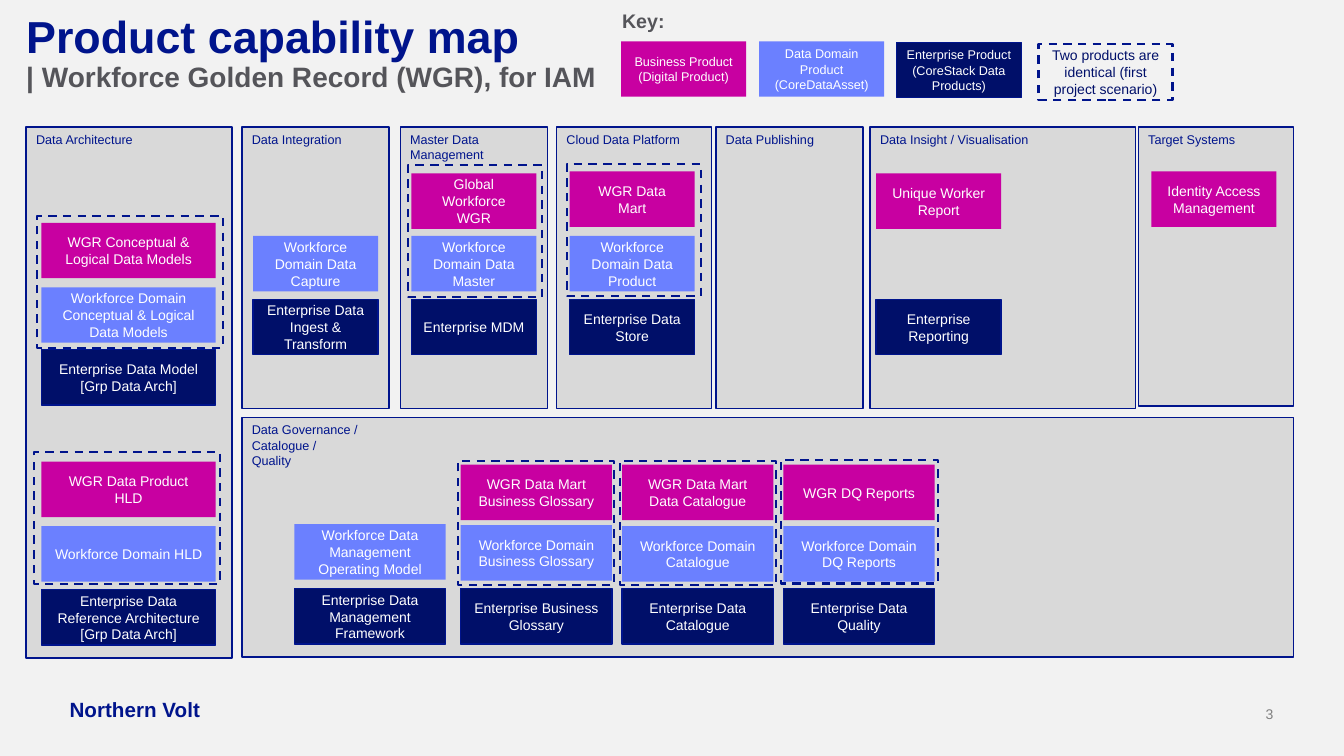
from pptx import Presentation
from pptx.dml.color import RGBColor
from pptx.enum.dml import MSO_LINE
from pptx.enum.shapes import MSO_SHAPE
from pptx.enum.text import MSO_ANCHOR, MSO_AUTO_SIZE, PP_ALIGN
from pptx.util import Inches, Pt

RECTANGLE = MSO_SHAPE.RECTANGLE
DASH = MSO_LINE.DASH
TOP, MIDDLE, BOTTOM = MSO_ANCHOR.TOP, MSO_ANCHOR.MIDDLE, MSO_ANCHOR.BOTTOM
LEFT, CENTER, RIGHT = PP_ALIGN.LEFT, PP_ALIGN.CENTER, PP_ALIGN.RIGHT
NO_FIT = MSO_AUTO_SIZE.NONE

FONT = "Arial"
COLOURS = {
    "page": "F2F2F2", "panel": "D9D9D9", "blue": "00148C", "grey": "55555A",
    "number": "808080", "white": "FFFFFF",
    "business": "C800A1", "domain": "6B80FF", "enterprise": "000F69",
}
TILE_HEIGHT = 0.55
TILE_WIDTH, MODEL_WIDTH, GOVERNANCE_WIDTH = 1.24, 1.73, 1.5
WIDE_INSETS, PLAIN_INSETS, NO_INSETS = (0.13, 0.07), (0.1, 0.05), (0, 0)

# text, left, top, width, height
PANELS = [
    ("Data Integration", 2.4, 1.26, 1.46, 2.79),
    ("Master Data Management", 3.97, 1.26, 1.46, 2.79),
    ("Cloud Data Platform", 5.52, 1.26, 1.54, 2.79),
    ("Data Publishing", 7.1, 1.26, 1.46, 2.79),
    ("Data Insight / Visualisation", 8.63, 1.26, 2.63, 2.79),
    ("Target Systems", 11.29, 1.26, 1.54, 2.77),
    ("Data Architecture", 0.26, 1.26, 2.04, 5.27),
    ("Data Governance /\nCatalogue /\nQuality", 2.4, 4.14, 10.43, 2.38),
]

KEY_TILES = [
    ("business", 6.16, 0.41, "Business Product\n(Digital Product)"),
    ("domain", 7.53, 0.41, "Data Domain Product (CoreDataAsset)"),
    ("enterprise", 8.89, 0.42, "Enterprise Product (CoreStack Data Products)"),
]

# left, width, then kind, top and text of each tile
STACKS = [
    (0.41, MODEL_WIDTH, [
        ("business", 2.21, "WGR Conceptual & Logical Data Models"),
        ("domain", 2.85, "Workforce Domain Conceptual & Logical Data Models"),
        ("enterprise", 3.47, "Enterprise Data Model\n[Grp Data Arch]"),
        ("business", 4.58, "WGR Data Product HLD"),
        ("domain", 5.22, "Workforce Domain HLD"),
        ("enterprise", 5.85, "Enterprise Data Reference Architecture [Grp Data Arch]"),
    ]),
    (2.51, TILE_WIDTH, [
        ("domain", 2.34, "Workforce Domain Data Capture"),
        ("enterprise", 2.97, "Enterprise Data Ingest & Transform"),
    ]),
    (4.08, TILE_WIDTH, [
        ("business", 1.72, "Global Workforce WGR"),
        ("domain", 2.34, "Workforce Domain Data Master"),
        ("enterprise", 2.97, "Enterprise MDM"),
    ]),
    (5.65, TILE_WIDTH, [
        ("business", 1.7, "WGR Data Mart"),
        ("domain", 2.34, "Workforce Domain Data Product"),
        ("enterprise", 2.97, "Enterprise Data Store"),
    ]),
    (8.69, TILE_WIDTH, [
        ("business", 1.72, "Unique Worker Report"),
        ("enterprise", 2.97, "Enterprise Reporting"),
    ]),
    (11.42, TILE_WIDTH, [
        ("business", 1.7, "Identity Access Management"),
    ]),
    (2.92, GOVERNANCE_WIDTH, [
        ("domain", 5.2, "Workforce Data Management Operating Model"),
        ("enterprise", 5.84, "Enterprise Data Management Framework"),
    ]),
    (4.57, GOVERNANCE_WIDTH, [
        ("business", 4.61, "WGR Data Mart Business Glossary"),
        ("domain", 5.21, "Workforce Domain Business Glossary"),
        ("enterprise", 5.84, "Enterprise Business Glossary"),
    ]),
    (6.17, GOVERNANCE_WIDTH, [
        ("business", 4.61, "WGR Data Mart Data Catalogue"),
        ("domain", 5.22, "Workforce Domain Catalogue"),
        ("enterprise", 5.84, "Enterprise Data Catalogue"),
    ]),
    (7.77, GOVERNANCE_WIDTH, [
        ("business", 4.61, "WGR DQ Reports"),
        ("domain", 5.22, "Workforce Domain DQ Reports"),
        ("enterprise", 5.84, "Enterprise Data Quality"),
    ]),
]

# left, top, width, height
IDENTICAL_FRAMES = [
    (4.05, 1.64, 1.33, 1.31), (5.62, 1.63, 1.33, 1.31),
    (0.37, 2.14, 1.84, 1.31), (0.34, 4.48, 1.84, 1.31),
    (4.54, 4.57, 1.55, 1.23), (6.15, 4.57, 1.55, 1.23), (7.75, 4.56, 1.55, 1.23),
]


def colour(name):
    return RGBColor.from_string(COLOURS[name])


def add_span(para, text, size, ink, bold=False):
    span = para.add_run()
    span.text = text
    span.font.name = FONT
    span.font.size = Pt(size)
    span.font.bold = bold
    span.font.color.rgb = colour(ink)


def set_frame(frame, anchor, insets):
    frame.word_wrap = True
    frame.auto_size = NO_FIT
    frame.vertical_anchor = anchor
    frame.margin_left = frame.margin_right = Inches(insets[0])
    frame.margin_top = frame.margin_bottom = Inches(insets[1])


def write(shape, text, size, ink, align=CENTER, anchor=MIDDLE, insets=PLAIN_INSETS, bold=False):
    """Fill a shape with one paragraph for each line of the text."""
    frame = shape.text_frame
    set_frame(frame, anchor, insets)
    for index, line in enumerate(text.split("\n")):
        para = frame.add_paragraph() if index else frame.paragraphs[0]
        para.alignment = align
        add_span(para, line, size, ink, bold)


def add_box(page, left, top, width, height, fill=None, line_width=None):
    box = page.shapes.add_shape(RECTANGLE, Inches(left), Inches(top), Inches(width), Inches(height))
    box.shadow.inherit = False
    if fill:
        box.fill.solid()
        box.fill.fore_color.rgb = colour(fill)
    else:
        box.fill.background()
    if line_width:
        box.line.color.rgb = colour("blue")
        box.line.width = Pt(line_width)
    else:
        box.line.fill.background()
    return box


def add_panel(page, text, left, top, width, height):
    panel = add_box(page, left, top, width, height, "panel", 1)
    write(panel, text, 9, "blue", LEFT, TOP)


def add_tile(page, kind, left, top, width, text, size=10):
    outlined = kind == "enterprise"
    tile = add_box(page, left, top, width, TILE_HEIGHT, kind, 1 if outlined else None)
    write(tile, text, size, "white", insets=PLAIN_INSETS if outlined else WIDE_INSETS)


def add_identical_frame(page, left, top, width, height):
    frame = add_box(page, left, top, width, height, line_width=1.5)
    frame.line.dash_style = DASH
    return frame


def add_label(page, left, top, width, height, text, size, ink, **style):
    label = page.shapes.add_textbox(Inches(left), Inches(top), Inches(width), Inches(height))
    write(label, text, size, ink, insets=NO_INSETS, **style)


def set_title(page):
    title = page.shapes.title
    title.left, title.top = Inches(0.26), Inches(0.15)
    title.width, title.height = Inches(11.96), Inches(1.09)
    set_frame(title.text_frame, TOP, NO_INSETS)
    para = title.text_frame.paragraphs[0]
    para.alignment = LEFT
    para.line_spacing = 0.9
    add_span(para, "Product capability map", 32, "blue", True)
    para.add_line_break()
    add_span(para, "| Workforce Golden Record (WGR), for IAM", 20, "grey", True)


def main():
    deck = Presentation()
    deck.slide_width, deck.slide_height = Inches(13.33), Inches(7.5)
    page = deck.slides.add_slide(deck.slide_layouts.get_by_name("Title Only"))
    page.background.fill.solid()
    page.background.fill.fore_color.rgb = colour("page")

    set_title(page)
    for panel in PANELS:
        add_panel(page, *panel)
    for left, width, tiles in STACKS:
        for kind, top, text in tiles:
            add_tile(page, kind, left, top, width, text)
    for frame in IDENTICAL_FRAMES:
        add_identical_frame(page, *frame)

    add_label(page, 6.17, 0.09, 0.74, 0.24, "Key:", 14, "grey", align=LEFT, anchor=TOP, bold=True)
    for kind, left, top, text in KEY_TILES:
        add_tile(page, kind, left, top, TILE_WIDTH, text, 9)
    key_frame = add_identical_frame(page, 10.3, 0.44, 1.33, 0.55)
    write(key_frame, "Two products are identical (first project scenario)", 10, "enterprise",
          insets=WIDE_INSETS)

    add_label(page, 0.69, 6.91, 1.33, 0.25, "Northern Volt", 14.7, "blue",
              align=LEFT, anchor=BOTTOM, bold=True)
    add_label(page, 12.21, 7, 0.42, 0.17, "3", 10, "number", align=RIGHT, anchor=BOTTOM)
    deck.save("out.pptx")


if __name__ == "__main__":
    main()
